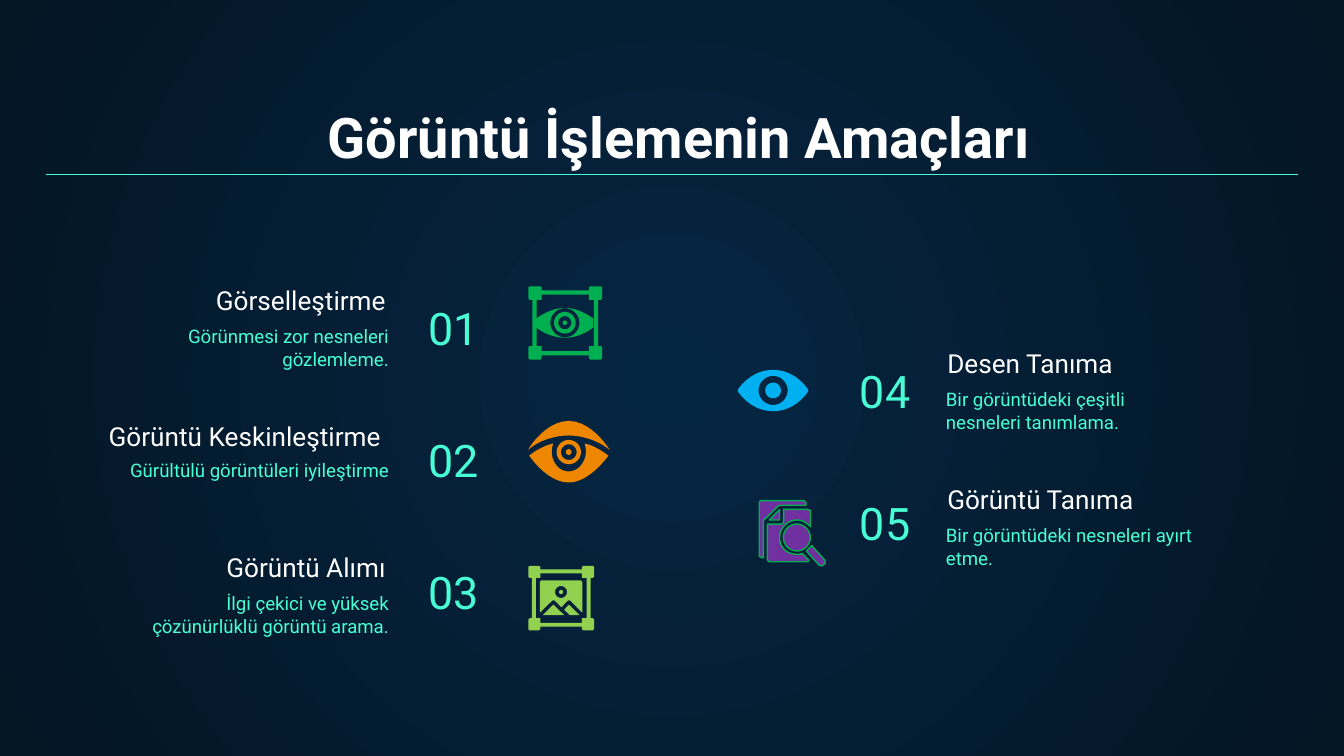
from dataclasses import dataclass
from math import cos, pi, sin

from lxml import etree
from pptx import Presentation
from pptx.dml.color import RGBColor
from pptx.enum.shapes import MSO_CONNECTOR
from pptx.enum.text import MSO_ANCHOR, PP_ALIGN
from pptx.oxml.ns import qn
from pptx.util import Pt

LEFT, CENTER, RIGHT = PP_ALIGN.LEFT, PP_ALIGN.CENTER, PP_ALIGN.RIGHT
TOP, BOTTOM = MSO_ANCHOR.TOP, MSO_ANCHOR.BOTTOM
STRAIGHT = MSO_CONNECTOR.STRAIGHT
FONT = "Roboto"
WHITE, MINT, GREEN, PURPLE = "FFFFFF", "48FFD5", "00B050", "7030A0"
BLUE, ORANGE, LIME = "00B0F0", "EF8600", "92D050"
CURVE_STEPS = 10
CIRCLE_STEPS = 36

Contour = list[tuple[float, float]]


@dataclass(frozen=True)
class Column:
    number_left: float
    number_width: float
    number_align: PP_ALIGN
    detail_left: float
    detail_width: float
    text_align: PP_ALIGN


@dataclass(frozen=True)
class Purpose:
    column: Column
    number: str
    number_top: float
    heading: str
    heading_left: float
    heading_width: float
    heading_top: float
    detail: str


@dataclass(frozen=True)
class Icon:
    color: str
    pieces: list[list[Contour]]
    outline: str | None = None


def rgb(color: str) -> RGBColor:
    return RGBColor.from_string(color)


def circle(x: float, y: float, radius: float) -> Contour:
    angles = [2 * pi * step / CIRCLE_STEPS for step in range(CIRCLE_STEPS)]
    return [(x + radius * cos(angle), y + radius * sin(angle)) for angle in angles]


def trace(start: tuple[float, float], *segments: tuple[float, ...]) -> Contour:
    points = [start]
    for segment in segments:
        if len(segment) == 2:
            points.append(segment)
            continue
        x0, y0 = points[-1]
        x1, y1, x2, y2, x3, y3 = segment
        for step in range(1, CURVE_STEPS + 1):
            t = step / CURVE_STEPS
            a, b, c, d = (1 - t) ** 3, 3 * t * (1 - t) ** 2, 3 * t * t * (1 - t), t ** 3
            points.append((a * x0 + b * x1 + c * x2 + d * x3,
                           a * y0 + b * y1 + c * y2 + d * y3))
    return points


def mirrored(x: float, y: float, corner: Contour) -> Contour:
    points = []
    for sign_x, sign_y in ((-1, -1), (1, -1), (1, 1), (-1, 1)):
        ordered = corner if sign_x == sign_y else corner[::-1]
        points += [(x + sign_x * dx, y + sign_y * dy) for dx, dy in ordered]
    return points


def handle_frame(left: float, top: float, width: float, height: float,
                 handle: float) -> list[Contour]:
    a, b = width / 2, height / 2
    outer, inner = 0.3 * handle, 0.62 * handle
    outside = [(a - outer, b - handle), (a - 0.7, b - handle), (a, b - handle + 0.7),
               (a, b - 0.7), (a - 0.7, b), (a - handle + 0.7, b),
               (a - handle, b - 0.7), (a - handle, b - outer)]
    inside = [(a - inner, b - handle), (a - handle, b - handle), (a - handle, b - inner)]
    return [mirrored(left + a, top + b, corner) for corner in (outside, inside)]


def add_text(slide, text: str, left: float, top: float, width: float, height: float,
             size: float, color: str, align: PP_ALIGN, anchor: MSO_ANCHOR,
             bold: bool = False) -> None:
    shape = slide.shapes.add_textbox(Pt(left), Pt(top), Pt(width), Pt(height))
    frame = shape.text_frame
    frame.word_wrap = True
    frame.vertical_anchor = anchor
    frame.margin_left = frame.margin_right = Pt(7.2)
    frame.margin_top = frame.margin_bottom = Pt(7.2)
    paragraph = frame.paragraphs[0]
    paragraph.text = text
    paragraph.alignment = align
    font = paragraph.font
    font.name, font.size, font.bold = FONT, Pt(size), bold
    font.color.rgb = rgb(color)


def add_purpose(slide, item: Purpose) -> None:
    column = item.column
    add_text(slide, item.detail, column.detail_left, item.heading_top + 5.7,
             column.detail_width, 39.6, 10, MINT, column.text_align, TOP)
    add_text(slide, item.number, column.number_left, item.number_top,
             column.number_width, 47.5, 24, MINT, column.number_align, BOTTOM)
    add_text(slide, item.heading, item.heading_left, item.heading_top,
             item.heading_width, 15.1, 14, WHITE, column.text_align, BOTTOM)


def add_icon(slide, icon: Icon) -> None:
    shapes = slide.shapes.add_group_shape().shapes if len(icon.pieces) > 1 else slide.shapes
    for contours in icon.pieces:
        scaled = [[(Pt(x), Pt(y)) for x, y in contour] for contour in contours]
        builder = shapes.build_freeform(*scaled[0][0])
        builder.add_line_segments(scaled[0][1:], close=True)
        for contour in scaled[1:]:
            builder.move_to(*contour[0])
            builder.add_line_segments(contour[1:], close=True)
        shape = builder.convert_to_shape()
        shape.shadow.inherit = False
        shape.fill.solid()
        shape.fill.fore_color.rgb = rgb(icon.color)
        if icon.outline:
            shape.line.color.rgb = rgb(icon.outline)
            shape.line.width = Pt(0.75)
        else:
            shape.line.fill.background()


def add_rule(slide, left: float, right: float, y: float) -> None:
    connector = slide.shapes.add_connector(STRAIGHT, Pt(left), Pt(y), Pt(right), Pt(y))
    connector.line.color.rgb = rgb(MINT)
    connector.line.width = Pt(0.75)
    etree.SubElement(connector.element.spPr, qn("a:effectLst"))


def set_background(slide, inner: str, outer: str) -> None:
    fill = slide.background.fill
    fill.gradient()
    for stop, color, position in zip(fill.gradient_stops, (inner, outer), (0, 1)):
        stop.color.rgb = rgb(color)
        stop.position = position
    gradient = next(slide.element.iter(qn("a:gradFill")))
    gradient.remove(gradient.find(qn("a:lin")))
    radial = etree.SubElement(gradient, qn("a:path"), path="circle")
    etree.SubElement(radial, qn("a:fillToRect"), l="50000", t="50000", r="50000", b="50000")


LEFT_COLUMN = Column(222.5, 49, LEFT, 56.9, 158.4, RIGHT)
RIGHT_COLUMN = Column(401.8, 92.9, RIGHT, 499.7, 149, LEFT)
PURPOSES = [
    Purpose(LEFT_COLUMN, "01", 149.8, "Görselleştirme", 50.4, 163.4, 161.3,
            "Görünmesi zor nesneleri gözlemleme."),
    Purpose(LEFT_COLUMN, "02", 220.3, "Görüntü Keskinleştirme ", 31, 183.6, 234,
            "Gürültülü görüntüleri iyileştirme"),
    Purpose(LEFT_COLUMN, "03", 290.9, "Görüntü Alımı", 50.4, 163.4, 304.4,
            "İlgi çekici ve yüksek çözünürlüklü görüntü arama."),
    Purpose(RIGHT_COLUMN, "04", 183.6, "Desen Tanıma", 500.4, 163.4, 195.1,
            "Bir görüntüdeki çeşitli nesneleri tanımlama."),
    Purpose(RIGHT_COLUMN, "05", 254.2, "Görüntü Tanıma", 500.4, 163.4, 267.9,
            "Bir görüntüdeki nesneleri ayırt etme."),
]

PATTERN_EYE = Icon(BLUE, [[
    trace((395.6, 208.3), (400.3, 202, 406.8, 198.2, 414.2, 198.2),
          (421.6, 198.2, 428, 202, 432.7, 208.3), (433.1, 209.2), (432.7, 210.2),
          (428, 216.5, 421.6, 220.3, 414.2, 220.3),
          (406.8, 220.3, 400.3, 216.5, 395.6, 210.2), (395.3, 209.2)),
    circle(414.2, 209.2, 7.8), circle(414.2, 209.2, 4.2)]])
DOCUMENT_SEARCH = Icon(PURPLE, [
    [trace((408.2, 268.2), (407.2, 268.4), (406.8, 269.3), (406.8, 298), (408.2, 298.8),
           (409, 298.8), (409, 279.4), (409, 278.6, 409.7, 277.9, 410.4, 277.6),
           (416.2, 271.8), (416.9, 271, 417.6, 270.7, 418.6, 270.7),
           (431.8, 270.7), (431.8, 269.3), (430.6, 268.2))],
    [trace((417.6, 273), (412.1, 278.6), (417.6, 278.6))],
    [circle(426.9, 288, 7.2)],
    [trace((419.8, 272.9), (419.8, 279.4), (419.8, 280.3, 419, 280.8, 418.3, 280.8),
           (411.1, 280.8), (411.1, 300.2), (412.2, 301), (432.7, 301), (433.4, 300.2),
           (429.8, 296.6), (428.8, 297, 427.7, 297, 427, 297),
           (421.2, 297, 417.6, 293, 417.6, 288), (417.6, 283, 421.9, 278.6, 427, 278.6),
           (429.8, 278.6, 432, 280, 434.2, 282.2), (434.2, 273.6), (432.7, 272.9))],
    [trace((434.9, 292.3), (433.4, 293.8, 432.7, 294.5, 432, 295.2), (438.5, 302.4),
           (439.2, 303.1, 440.5, 303.4, 441.4, 302.4), (442.4, 301.7, 442.4, 300.6, 441.4, 299.5))],
], GREEN)
SHARP_EYE = Icon(ORANGE, [
    [trace((283, 241), (283.7, 239, 293, 225.5, 304.7, 225.5),
           (316.4, 225.5, 325.4, 239, 326.6, 241), (321, 236.2, 312, 233.3, 304.7, 233.3),
           (296, 233.3, 287.3, 236.9, 283, 241))],
    [circle(304.7, 242.2, 1.5)],
    [circle(304.7, 242.2, 6.5), circle(304.7, 242.2, 4.2)],
    [trace((296.4, 237.6), (292.3, 238.5, 287.3, 241, 283.5, 244.1),
           (286, 247.7, 294.5, 258.5, 304.7, 258.5), (314.6, 258.5, 323.3, 247.7, 326, 244.1),
           (321.8, 241, 317.5, 238.5, 313.2, 237.6), (313.6, 239, 313.9, 240.5, 313.9, 242),
           (313.9, 247.7, 309.6, 252.6, 304.7, 252.6), (299.5, 252.6, 295.6, 247.7, 295.6, 242),
           (295.6, 240.5, 295.9, 239, 296.4, 237.6))],
])
VIEW_FRAME = Icon(GREEN, [
    [*handle_frame(283, 153.4, 39.6, 39.2, 7.2),
     trace((287.4, 170.6), (290.2, 168.5, 295.9, 165, 302.6, 165),
           (309.6, 165, 314.6, 168.5, 317.8, 170.6), (317.8, 175.5),
           (314.6, 177.8, 309.6, 180.9, 302.6, 180.9), (295.9, 180.9, 290.2, 177.8, 287.4, 175.5)),
     circle(302.6, 172.9, 7.8)],
    [circle(302.6, 172.9, 5.8), circle(302.6, 172.9, 3.5)],
    [circle(302.6, 172.9, 1.2)],
])
PHOTO_FRAME = Icon(LIME, [
    handle_frame(283, 303.1, 35.3, 34.6, 6.5),
    [trace((290, 311), (289.2, 311.8), (289.2, 328.3), (295.6, 322.1),
           (296.3, 321.5, 296.9, 321.5, 297.5, 322.1), (300.8, 325.4), (303.9, 322.1),
           (304.6, 321.5, 305.2, 321.5, 305.8, 322.1), (312, 328.3), (312, 311.8), (311.2, 311)),
     circle(300.6, 317.2, 3.2)],
    [circle(300.6, 317.2, 1.1)],
    [trace((304.8, 323.9), (302.2, 326.7), (305.3, 329.6), (310.5, 329.6))],
    [trace((296.5, 323.9), (290.8, 329.6), (302.3, 329.6))],
])


def main() -> None:
    presentation = Presentation()
    presentation.slide_width, presentation.slide_height = Pt(720), Pt(405)
    slide = presentation.slides.add_slide(presentation.slide_layouts[6])
    set_background(slide, "052643", "041523")
    add_text(slide, " Görüntü İşlemenin Amaçları", 24.5, 50.4, 671, 47.5,
             30, WHITE, CENTER, BOTTOM, bold=True)
    for purpose in PURPOSES:
        add_purpose(slide, purpose)
    add_rule(slide, 24.5, 695.5, 93.6)
    for icon in (PATTERN_EYE, DOCUMENT_SEARCH, SHARP_EYE, VIEW_FRAME, PHOTO_FRAME):
        add_icon(slide, icon)
    presentation.save("out.pptx")


if __name__ == "__main__":
    main()
